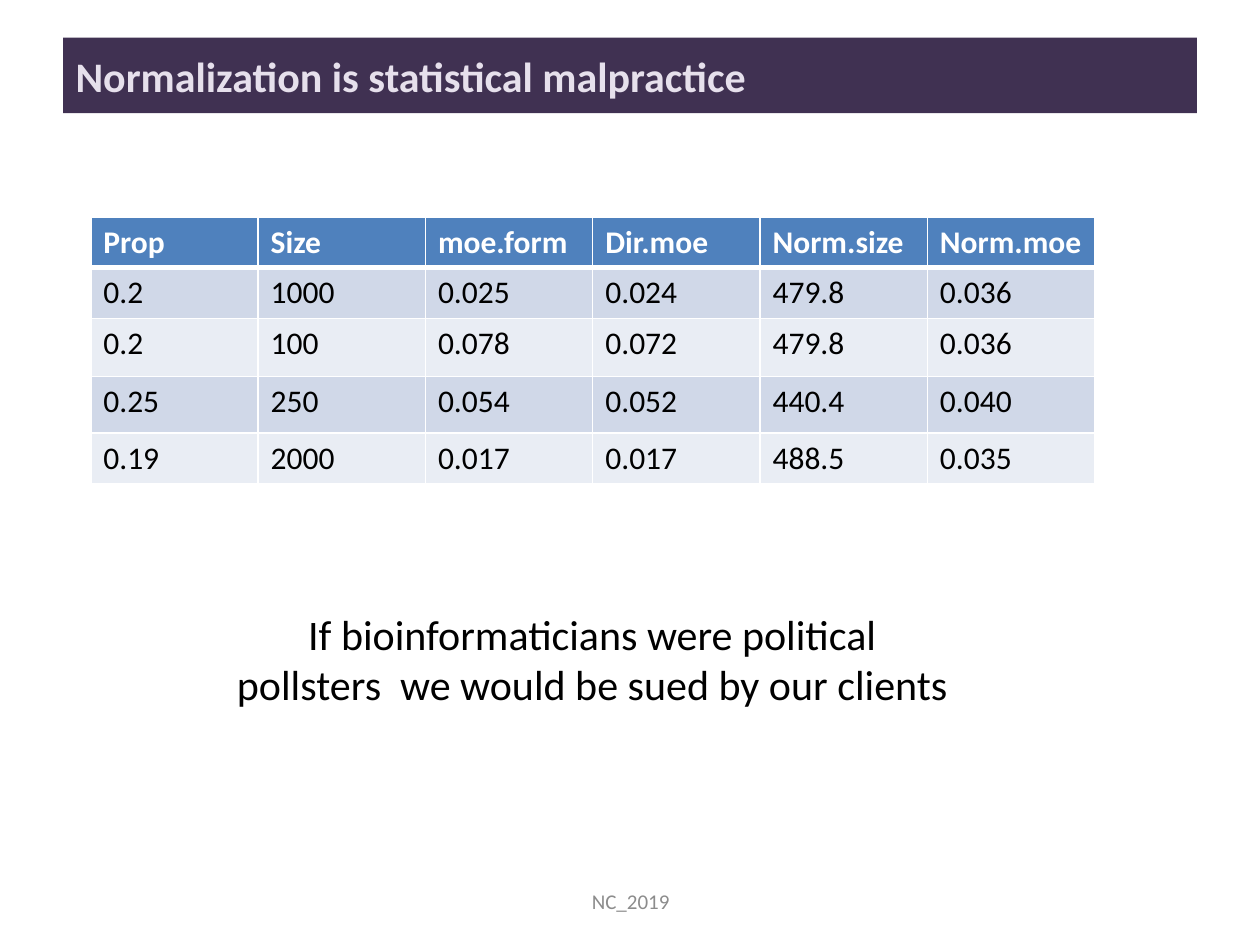
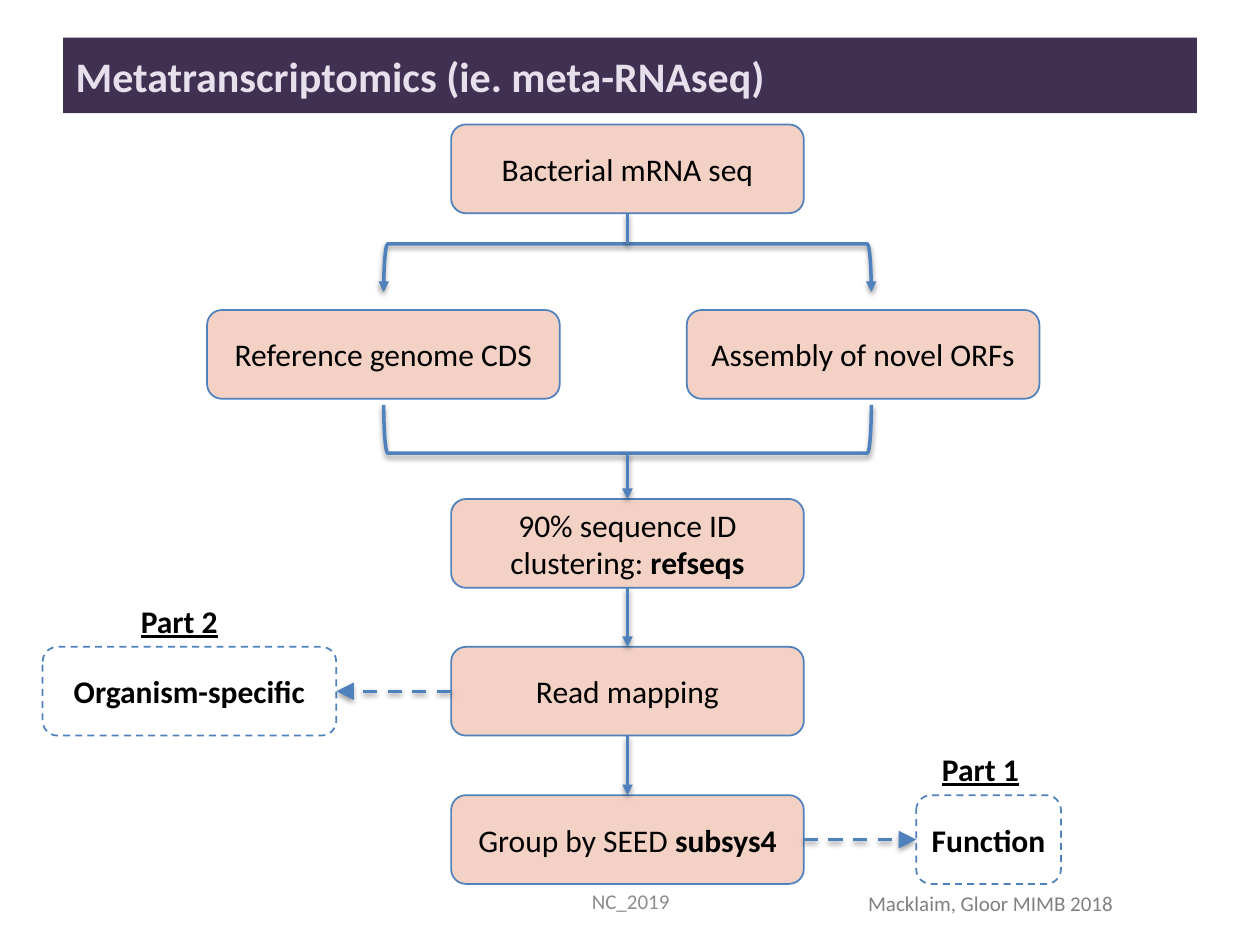
from dataclasses import dataclass

from lxml import etree
from pptx import Presentation
from pptx.dml.color import RGBColor
from pptx.enum import dml, shapes, text
from pptx.oxml import ns
from pptx.util import Cm, Pt


@dataclass(frozen=True)
class Theme:
    font: str = "Calibri"
    band: str = "403152"
    title: str = "E6E0EC"
    ink: str = "000000"
    white: str = "FFFFFF"
    blue: str = "4F81BD"
    step: str = "D34817"
    footer: str = "8C8C8C"
    citation: str = "808080"
    stripes: tuple = ("D0D8E8", "E9EDF4")
    title_size: int = 24
    body_size: int = 18
    small_size: int = 12


THEME = Theme()
ROUNDED = shapes.MSO_SHAPE.ROUNDED_RECTANGLE
TOP, LEFT, BOTTOM, RIGHT = range(4)
CENTER = text.PP_ALIGN.CENTER


# Shared helpers
def rgb(value):
    return RGBColor.from_string(value)


def sub(parent, tag, **attributes):
    return etree.SubElement(parent, ns.qn(tag), attributes)


def paint(shape, color):
    shape.fill.solid()
    shape.fill.fore_color.rgb = rgb(color)


def style(paragraph, size, color, bold=False, align=None):
    paragraph.alignment = align
    for run in paragraph.runs:
        run.font.name = THEME.font
        run.font.size = Pt(size)
        run.font.color.rgb = rgb(color)
        run.font.bold = bold


def add_text(slide, box, words, size, color, bold=False, align=None, wrap=True):
    label = slide.shapes.add_textbox(*map(Cm, box))
    frame = label.text_frame
    frame.word_wrap = wrap
    frame.text = words
    style(frame.paragraphs[0], size, color, bold, align)
    return frame


def draw_line(shape, width, dashed=False):
    shape.line.color.rgb = rgb(THEME.blue)
    shape.line.width = Pt(width)
    if dashed:
        shape.line.dash_style = dml.MSO_LINE.DASH


def add_arrowheads(shape, ends, size="med"):
    outline = shape.element.spPr.find(ns.qn("a:ln"))
    for end in ends:
        sub(outline, end, type="triangle", w=size, len=size)


def add_soft_shadow(shape):
    effects = sub(shape.element.spPr, "a:effectLst")
    shadow = sub(effects, "a:outerShdw", blurRad="40000", dist="20000",
                 dir="5400000", rotWithShape="0")
    sub(sub(shadow, "a:srgbClr", val="000000"), "a:alpha", val="38000")


# Title band and footer on every slide
def add_framed_slide(deck, heading):
    slide = deck.slides.add_slide(deck.slide_layouts[5])
    title = slide.shapes.title
    title.left, title.top, title.width, title.height = map(
        Cm, (1.27, 0.76, 22.86, 1.52))
    paint(title, THEME.band)
    title.text_frame.text = heading
    title.text_frame.vertical_anchor = text.MSO_ANCHOR.MIDDLE
    style(title.text_frame.paragraphs[0], THEME.title_size, THEME.title,
          True, text.PP_ALIGN.LEFT)
    footer = add_text(slide, (8.69, 17.65, 8.05, 1.02), "NC_2019",
                      THEME.small_size, THEME.footer, align=CENTER)
    footer.vertical_anchor = text.MSO_ANCHOR.MIDDLE
    return slide


# Table of margins of error
def add_poll_table(slide, box, rows, heights):
    grid = slide.shapes.add_table(len(rows), len(rows[0]), *map(Cm, box)).table
    for column in grid.columns:
        column.width = Cm(box[2] / len(rows[0]))
    for r, (values, height) in enumerate(zip(rows, heights)):
        grid.rows[r].height = Cm(height)
        header = r == 0
        for c, value in enumerate(values):
            cell = grid.cell(r, c)
            cell.text = value
            style(cell.text_frame.paragraphs[0], THEME.body_size,
                  THEME.white if header else THEME.ink, header)
            add_cell_borders(cell, above=3 if r == 1 else 1,
                             below=3 if header else 1)
            paint(cell, THEME.blue if header else THEME.stripes[(r - 1) % 2])


def add_cell_borders(cell, above, below):
    properties = cell._tc.get_or_add_tcPr()
    widths = {"a:lnL": 1, "a:lnR": 1, "a:lnT": above, "a:lnB": below}
    for side, width in widths.items():
        border = sub(properties, side, w=str(Pt(width)))
        sub(sub(border, "a:solidFill"), "a:srgbClr", val=THEME.white)


# Flowchart parts
def add_step(slide, box, *words, outcome=False):
    """Add a rounded box; the second of two words is bold."""
    step = slide.shapes.add_shape(ROUNDED, *map(Cm, box))
    step.shadow.inherit = False
    draw_line(step, 1, dashed=outcome)
    if outcome:
        step.fill.background()
    else:
        paint(step, THEME.step)
        color = step.element.spPr.find(ns.qn("a:solidFill"))[0]
        sub(color, "a:alpha", val="25000")
    frame = step.text_frame
    frame.word_wrap = True
    frame.vertical_anchor = text.MSO_ANCHOR.MIDDLE
    frame.margin_left = frame.margin_right = Cm(0.2)
    frame.margin_top = frame.margin_bottom = Cm(0.2)
    paragraph = frame.paragraphs[0]
    for word in words:
        paragraph.add_run().text = word
    style(paragraph, THEME.body_size, THEME.ink, outcome, CENTER)
    for run in paragraph.runs[1:]:
        run.font.bold = True
    return step


def add_link(slide, start=None, end=None, points=(0, 0, 0, 0),
             dashed=False, arrow=True):
    """Join (step, side) pairs; points serve for the free ends."""
    link = slide.shapes.add_connector(
        shapes.MSO_CONNECTOR.STRAIGHT, *map(Cm, points))
    if start:
        link.begin_connect(*start)
    if end:
        link.end_connect(*end)
    draw_line(link, 2, dashed)
    if arrow:
        add_arrowheads(link, ["a:tailEnd"], "lg" if dashed else "med")
    add_soft_shadow(link)


def add_bracket(slide, center, middle, rotation, arrows=False):
    depth, span = 0.97, 9.83
    bracket = slide.shapes.add_shape(
        shapes.MSO_SHAPE.RIGHT_BRACKET, Cm(center - depth / 2),
        Cm(middle - span / 2), Cm(depth), Cm(span))
    bracket.rotation = rotation
    bracket.fill.background()
    draw_line(bracket, 2)
    if arrows:
        add_arrowheads(bracket, ["a:headEnd", "a:tailEnd"])
    add_soft_shadow(bracket)


def add_pipeline(slide, box):
    left, top, width, _ = box
    step_width, step_height = 7.11, 1.79
    center = left + 11.79

    def step_at(shift, down, *words):
        return add_step(slide, (center + shift - step_width / 2, top + down,
                                step_width, step_height), *words)

    # Steps
    reads = step_at(0, 0, "Bacterial mRNA seq")
    step_at(-4.92, 3.74, "Reference genome CDS")
    step_at(4.75, 3.74, "Assembly of novel ORFs")
    clusters = step_at(0, 7.55, "90% sequence ID clustering: ", "refseqs")
    mapping = step_at(0, 10.53, "Read mapping")
    groups = step_at(0, 13.52, "Group by SEED ", "subsys4")

    # Outcomes
    organism = add_step(slide, (left, top + 10.53, 5.92, step_height),
                        "Organism-specific", outcome=True)
    function = add_step(slide, (left + width - 2.92, top + 13.52, 2.92,
                                step_height), "Function", outcome=True)
    for shift, down, part in ((1.73, 9.5, "Part 2"), (17.88, 12.48, "Part 1")):
        label = add_text(slide, (left + shift, top + down, 2.08, 1.03), part,
                         THEME.body_size, THEME.ink, True, wrap=False)
        label.paragraphs[0].runs[0].font.underline = True

    # Split and merge
    split, merge = top + 2.41, top + 6.62
    add_bracket(slide, center, split + 0.48, 270, arrows=True)
    add_bracket(slide, center, merge - 0.48, 90)
    add_link(slide, start=(reads, BOTTOM), arrow=False,
             points=(center, split, center, split))
    add_link(slide, end=(clusters, TOP), points=(center, merge, center, merge))

    # Links between steps
    add_link(slide, (clusters, BOTTOM), (mapping, TOP))
    add_link(slide, (mapping, BOTTOM), (groups, TOP))
    add_link(slide, (mapping, LEFT), (organism, RIGHT), dashed=True)
    add_link(slide, (groups, RIGHT), (function, LEFT), dashed=True)


# Slides
def build_malpractice(deck):
    slide = add_framed_slide(deck, "Normalization is statistical malpractice")
    rows = [
        ("Prop", "Size", "moe.form", "Dir.moe", "Norm.size", "Norm.moe"),
        ("0.2", "1000", "0.025", "0.024", "479.8", "0.036"),
        ("0.2", "100", "0.078", "0.072", "479.8", "0.036"),
        ("0.25", "250", "0.054", "0.052", "440.4", "0.040"),
        ("0.19", "2000", "0.017", "0.017", "488.5", "0.035"),
    ]
    add_poll_table(slide, (1.83, 4.37, 20.24, 5.39), rows,
                   (1.02, 1.03, 1.17, 1.14, 1.03))
    add_text(slide, (4.47, 12.14, 14.94, 2.31),
             "If bioinformaticians were political pollsters  "
             "we would be sued by our clients",
             THEME.title_size, THEME.ink, align=CENTER)


def build_metatranscriptomics(deck):
    slide = add_framed_slide(deck, "Metatranscriptomics (ie. meta-RNAseq)")
    add_pipeline(slide, (0.86, 2.51, 20.53, 15.31))
    add_text(slide, (17.25, 17.83, 5.51, 0.77), "Macklaim, Gloor MIMB 2018",
             THEME.small_size, THEME.citation, wrap=False)


def main():
    deck = Presentation()
    deck.slide_width, deck.slide_height = Cm(25.4), Cm(19.05)
    build_malpractice(deck)
    build_metatranscriptomics(deck)
    deck.save("out.pptx")


if __name__ == "__main__":
    main()
